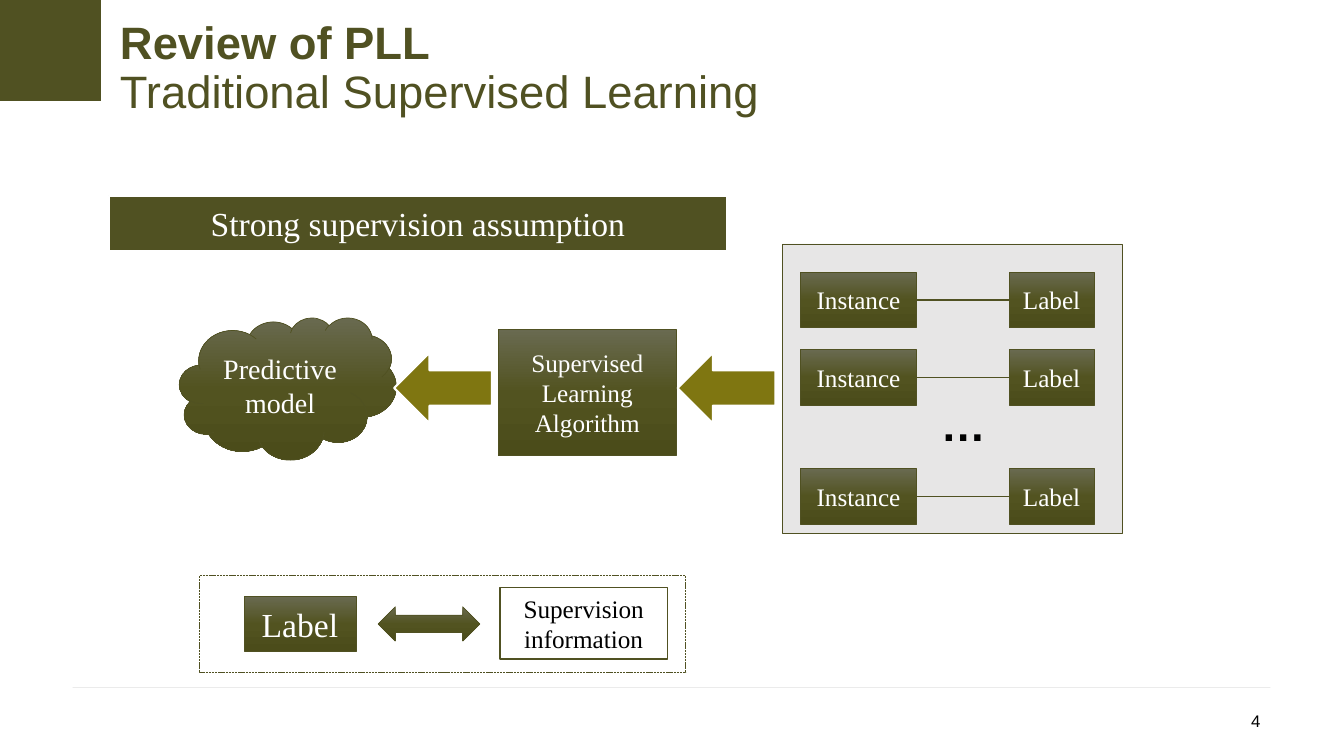
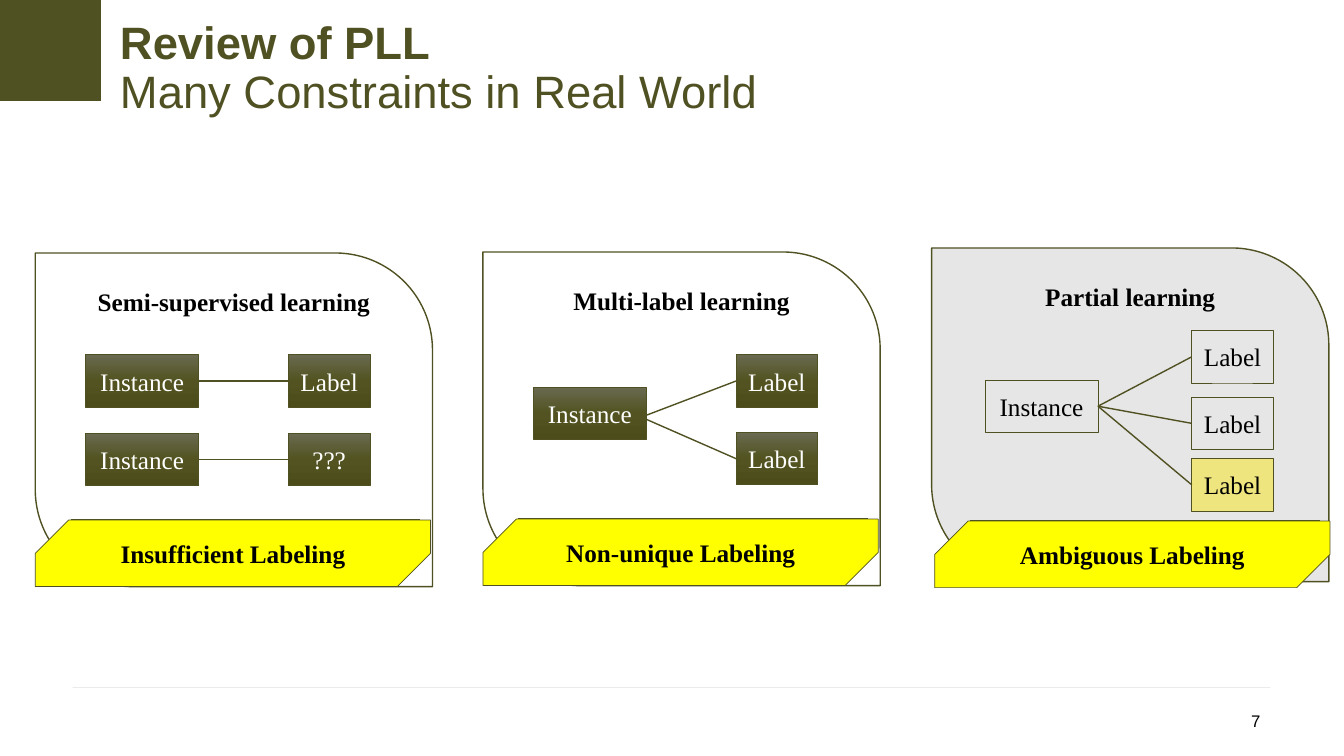
from copy import deepcopy

from lxml import etree
from pptx import Presentation
from pptx import util as u
from pptx.dml.color import RGBColor
from pptx.enum import dml, shapes, text
from pptx.oxml.ns import qn

# Shared colours, fonts and text formats
OLIVE, GOLD, YELLOW, CREAM = "505122", "7F7611", "FFFF00", "EEE57E"
GREY, RULE, WHITE, BLACK = "E7E6E6", "BFBFBF", "FFFFFF", "000000"
SHADE = [(0, "696A50"), (0.5, "525320"), (1, "4B4C1A")]
SERIF, SANS = "Times New Roman", "Arial"
KIND = shapes.MSO_SHAPE
MID, TOP = text.MSO_ANCHOR.MIDDLE, text.MSO_ANCHOR.TOP
MARGINS = ("margin_left", "margin_top", "margin_right", "margin_bottom")


def rgb(code):
    return RGBColor.from_string(code)


def apply(obj, vals):
    for key, val in vals.items():
        setattr(obj, key, val)


def inch(*nums):
    return [u.Inches(n) for n in nums]


def style(run, size, color, name=SERIF, bold=False):
    apply(run.font, {"size": u.Pt(size), "name": name, "bold": bold})
    run.font.color.rgb = rgb(color)


def write(shape, words, size, color, name=SERIF, bold=False,
          anchor=MID, align=text.PP_ALIGN.CENTER):
    frame = shape.text_frame
    apply(frame, {"word_wrap": True, "vertical_anchor": anchor})
    par = frame.paragraphs[0]
    par.alignment = align
    run = par.add_run()
    run.text = words
    style(run, size, color, name, bold)


def paint(shape, fill):
    """Fill with one colour, with the olive shade, or not at all."""
    if fill is None:
        shape.fill.background()
    elif fill is SHADE:
        shape.fill.gradient()
        shape.fill.gradient_angle = 270
        stops = shape.element.spPr.find(".//" + qn("a:gsLst"))
        stops.append(deepcopy(stops[-1]))
        for stop, (pos, code) in zip(shape.fill.gradient_stops, SHADE):
            stop.position = pos
            stop.color.rgb = rgb(code)
    else:
        shape.fill.solid()
        shape.fill.fore_color.rgb = rgb(fill)


def box(slide, at, fill=SHADE, kind=KIND.RECTANGLE, line=OLIVE, width=0.5):
    shape = slide.shapes.add_shape(kind, *inch(*at))
    shape.shadow.inherit = False
    paint(shape, fill)
    shape.line.color.rgb = rgb(line)
    shape.line.width = u.Pt(width)
    return shape


def node(slide, at, words, fill=SHADE, color=WHITE, size=18, **look):
    shape = box(slide, at, fill, **look)
    write(shape, words, size, color)
    return shape


def label(slide, at, words, size, **look):
    area = slide.shapes.add_textbox(*inch(*at))
    write(area, words, size, BLACK, SANS, **look)


def line(slide, ends, color=OLIVE, width=1):
    wire = slide.shapes.add_connector(shapes.MSO_CONNECTOR.STRAIGHT, *ends)
    wire.line.color.rgb = rgb(color)
    wire.line.width = u.Pt(width)
    etree.SubElement(wire.element.spPr, qn("a:effectLst"))
    return wire


def link(slide, left, right, drop=0):
    """Join two boxes; drop lowers the start below the side's middle."""
    start = left.top + left.height // 2 + u.Inches(drop)
    wire = line(slide, (left.left + left.width, start, right.left, right.top))
    if not drop:
        wire.begin_connect(left, 3)
    wire.end_connect(right, 1)


# Parts shared by all slides
def setup(prs):
    apply(prs, {"slide_width": u.Inches(13.33), "slide_height": u.Inches(7.5)})
    layout = prs.slide_layouts[5]
    title = layout.placeholders[0]
    left, top, width, height = inch(1.19, 0.26, 8.93, 0.86)
    apply(title, {"left": left, "top": top, "width": width, "height": height})
    apply(title.text_frame, {"vertical_anchor": MID, "word_wrap": True,
                             "auto_size": text.MSO_AUTO_SIZE.NONE})
    apply(title.text_frame, dict.fromkeys(MARGINS, 0))
    return layout


def brand(slide, layout):
    """Draw the rule and the ribbon, then move them to the layout."""
    rule = line(slide, inch(0.72, 6.82, 12.6, 6.82), RULE, 0.25)
    tint = rule.element.spPr.find(".//" + qn("a:srgbClr"))
    etree.SubElement(tint, qn("a:alpha"), val="47000")
    pen = slide.shapes.build_freeform(0.45, 0, scale=u.Inches(1))
    pen.add_line_segments([(0.99, 0), (0.99, 0.91), (0.72, 1.13), (0.45, 0.91)])
    ribbon = pen.convert_to_shape()
    ribbon.shadow.inherit = False
    paint(ribbon, OLIVE)
    ribbon.line.fill.background()
    for part in (rule, ribbon):
        layout.shapes.element.append(part.element)


def start(prs, layout, topic, number):
    slide = prs.slides.add_slide(layout)
    par = slide.shapes.title.text_frame.paragraphs[0]
    apply(par, {"alignment": text.PP_ALIGN.LEFT, "line_spacing": 0.9})
    head = par.add_run()
    head.text = "Review of PLL"
    par.add_line_break()
    tail = par.add_run()
    tail.text = topic
    style(head, 32.4, OLIVE, SANS, True)
    style(tail, 32.4, OLIVE, SANS)
    label(slide, (9.6, 6.95, 3, 0.4), number, 12, align=text.PP_ALIGN.RIGHT)
    return slide


# Slide with the supervised learning flow
def flow(slide):
    node(slide, (1.08, 1.94, 6.13, 0.55), "Strong supervision assumption",
         OLIVE, size=24, line=WHITE, width=1.5)

    # Training data
    box(slide, (7.76, 2.42, 3.37, 2.87), GREY)
    for y in (2.7, 3.47, 4.65):
        item = node(slide, (7.94, y, 1.15, 0.55), "Instance")
        link(slide, item, node(slide, (10.01, y, 0.84, 0.55), "Label"))
    label(slide, (8.86, 3.89, 1.39, 0.67), "…", 32, bold=True, anchor=TOP)

    # Algorithm and model
    node(slide, (4.94, 3.27, 1.77, 1.25), "Supervised Learning Algorithm")
    node(slide, (1.78, 3.15, 2.15, 1.41), "Predictive model", size=20,
         kind=KIND.CLOUD)
    for x in (3.91, 6.72):
        box(slide, (x, 3.5, 0.97, 0.7), GOLD, KIND.LEFT_ARROW, WHITE, 1.5)

    # Legend
    frame = box(slide, (1.98, 5.71, 4.82, 0.96), None)
    frame.line.dash_style = dml.MSO_LINE.SQUARE_DOT
    node(slide, (2.42, 5.92, 1.11, 0.54), "Label", size=24)
    box(slide, (3.75, 6.02, 1.01, 0.34), kind=KIND.LEFT_RIGHT_ARROW)
    node(slide, (4.96, 5.83, 1.66, 0.71), "Supervision information",
         WHITE, BLACK, width=1)


# Slide with the three learning settings
def panel(slide, x, y, name, fill=WHITE):
    card = box(slide, (x, y, 3.94, 3.31), fill,
               KIND.ROUND_2_DIAG_RECTANGLE, width=1)
    card.adjustments[0], card.adjustments[1] = 0, 0.291
    write(card, name, 18, BLACK, bold=True, anchor=TOP)


def tag(slide, x, y, words):
    line(slide, inch(x + 0.35, y, x + 3.82, y))
    strip = box(slide, (x, y, 3.92, 0.66), YELLOW, KIND.SNIP_2_DIAG_RECTANGLE)
    strip.adjustments[0], strip.adjustments[1] = 0.5, 0
    write(strip, words, 18, BLACK, bold=True)


def item(slide, x, y, **look):
    return node(slide, (x, y, 1.12, 0.52), "Instance", **look)


def mark(slide, x, y, words="Label", **look):
    return node(slide, (x, y, 0.81, 0.52), words, **look)


def limits(slide):
    # One label or none
    panel(slide, 0.35, 2.51, "Semi-supervised learning")
    for y, words in ((3.52, "Label"), (4.3, "???")):
        link(slide, item(slide, 0.85, y), mark(slide, 2.86, y, words))
    tag(slide, 0.35, 5.16, "Insufficient Labeling")

    # Several labels
    panel(slide, 4.79, 2.5, "Multi-label learning")
    root = item(slide, 5.29, 3.84)
    for y, drop in ((3.52, 0.02), (4.29, 0.06)):
        link(slide, root, mark(slide, 7.3, y), drop)
    tag(slide, 4.79, 5.15, "Non-unique Labeling")

    # Candidate labels
    panel(slide, 9.24, 2.46, "Partial learning", GREY)
    root = item(slide, 9.77, 3.77, fill=GREY, color=BLACK)
    for y, fill in ((3.28, GREY), (3.94, GREY), (4.55, CREAM)):
        link(slide, root, mark(slide, 11.82, y, fill=fill, color=BLACK))
    tag(slide, 9.27, 5.17, "Ambiguous Labeling")


def main():
    prs = Presentation()
    layout = setup(prs)
    first = start(prs, layout, "Traditional Supervised Learning", "4")
    brand(first, layout)
    flow(first)
    limits(start(prs, layout, "Many Constraints in Real World", "7"))
    prs.save("out.pptx")


if __name__ == "__main__":
    main()
